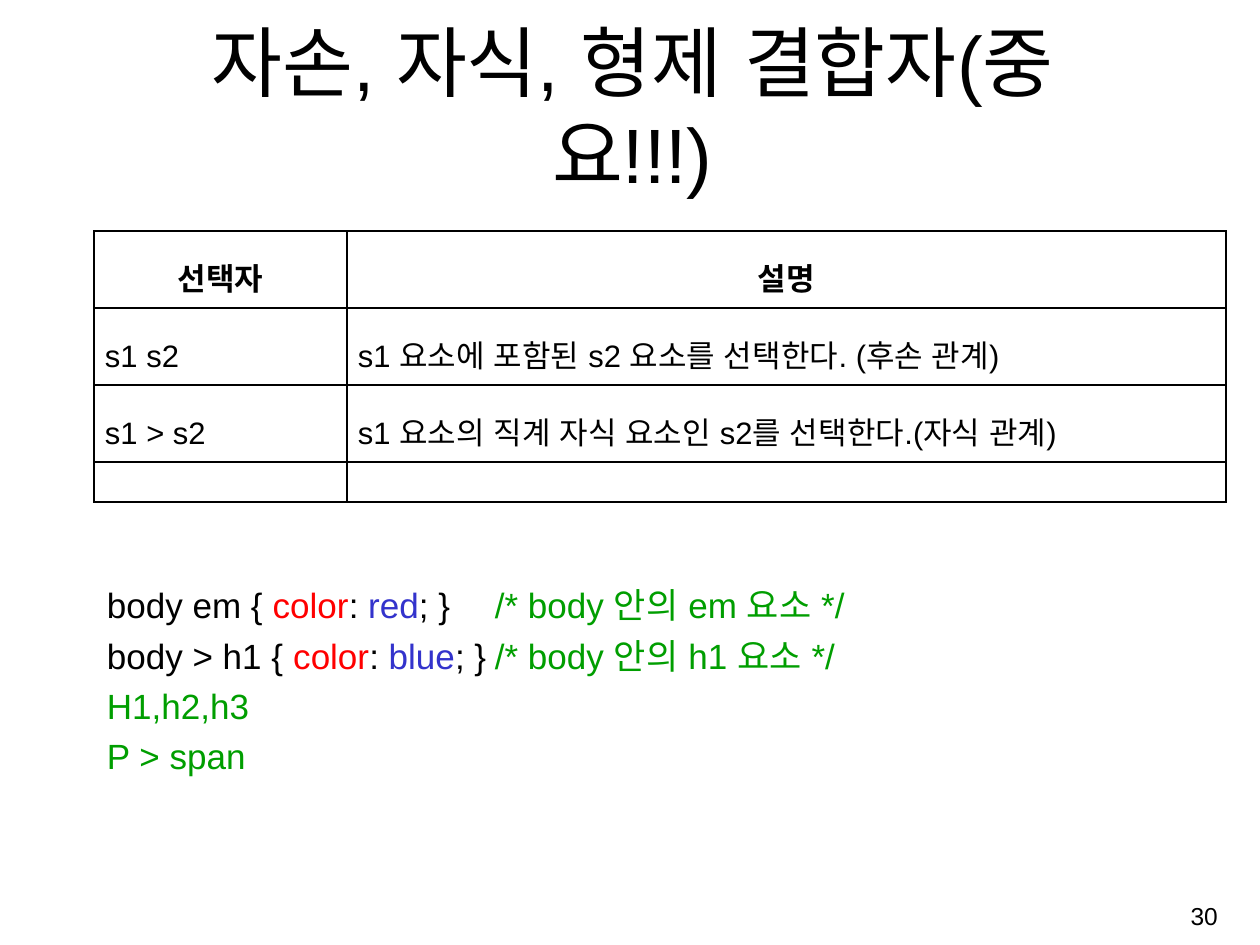
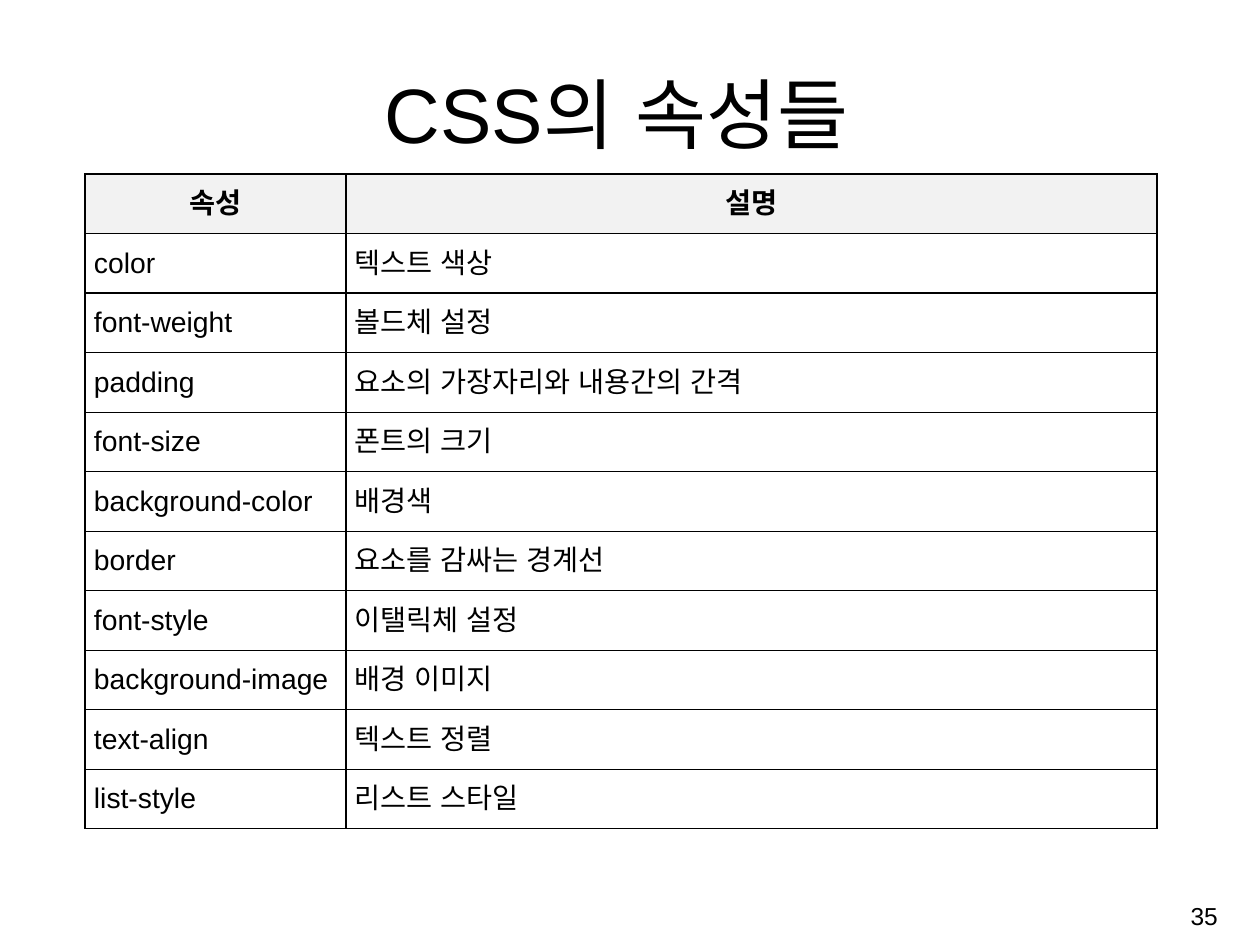
from dataclasses import dataclass

from lxml.etree import SubElement
from pptx import Presentation
from pptx.dml.color import RGBColor
from pptx.enum.text import MSO_ANCHOR, PP_ALIGN
from pptx.oxml.ns import qn
from pptx.util import Emu, Pt

PX = 9427


@dataclass(frozen=True)
class Theme:
    font: str = "Arial"
    ink: str = "000000"
    paper: str = "FFFFFF"
    header: str = "F2F2F2"
    name: str = "FF0000"
    value: str = "3333CC"
    comment: str = "009E00"
    title_size: float = 57.2
    code_size: float = 26
    number_size: float = 18.2


T = Theme()


def px(n):
    return Emu(round(n * PX))


def apply(obj, **values):
    for key, value in values.items():
        setattr(obj, key, value)


def margins(x, y):
    return {"margin_left": px(x), "margin_right": px(x),
            "margin_top": px(y), "margin_bottom": px(y)}


def add_run(p, text, size, color=T.ink, bold=False):
    r = p.add_run()
    r.text = text
    apply(r.font, name=T.font, size=Pt(size), bold=bold)
    r.font.color.rgb = RGBColor.from_string(color)
    SubElement(r.font._element, qn("a:ea"), typeface=T.font)


def add_text(s, box, lines, size, inset=(10, 5), anchor=MSO_ANCHOR.TOP,
             align=PP_ALIGN.LEFT, gap=0):
    tf = s.shapes.add_textbox(*map(px, box)).text_frame
    apply(tf, word_wrap=True, vertical_anchor=anchor, **margins(*inset))
    for i, runs in enumerate(lines):
        p = tf.add_paragraph() if i else tf.paragraphs[0]
        apply(p, alignment=align, space_before=Pt(gap if i else 0))
        for text, color in runs:
            add_run(p, text, size, color)


def add_title(s, text, left, top, inset=(10, 5)):
    add_text(s, (left, top, 1029, 105), [[(text, T.ink)]], T.title_size,
             inset, MSO_ANCHOR.BOTTOM, PP_ALIGN.CENTER)


def add_number(s, number):
    add_text(s, (968, 887, 260, 58), [[(str(number), T.ink)]], T.number_size,
             anchor=MSO_ANCHOR.MIDDLE, align=PP_ALIGN.RIGHT)


def add_borders(cell):
    tcPr = cell._tc.get_or_add_tcPr()
    for i, side in enumerate(("lnL", "lnR", "lnT", "lnB")):
        ln = tcPr.makeelement(qn(f"a:{side}"), {"w": str(Pt(1))})
        fill = SubElement(ln, qn("a:solidFill"))
        SubElement(fill, qn("a:srgbClr"), val=T.ink)
        tcPr.insert(i, ln)


def fill_cell(cell, text, size, head, color, inset, spacing):
    apply(cell, vertical_anchor=MSO_ANCHOR.MIDDLE, **margins(*inset))
    cell.fill.solid()
    cell.fill.fore_color.rgb = RGBColor.from_string(color)
    add_borders(cell)
    if text:
        p = cell.text_frame.paragraphs[0]
        apply(p, line_spacing=spacing,
              alignment=PP_ALIGN.CENTER if head else PP_ALIGN.JUSTIFY)
        add_run(p, text, size, bold=head)


def add_grid(s, left, top, widths, heights, rows, size, inset,
             head_fill=T.paper, spacing=1.0):
    box = map(px, (left, top, sum(widths), sum(heights)))
    table = s.shapes.add_table(len(rows), len(widths), *box).table
    apply(table, first_row=False, horz_banding=False)
    for column, width in zip(table.columns, widths):
        column.width = px(width)
    for row, height in zip(table.rows, heights):
        row.height = px(height)
    for i, texts in enumerate(rows):
        head = i == 0
        for j, text in enumerate(texts):
            fill_cell(table.cell(i, j), text, size, head,
                      head_fill if head else T.paper, inset, spacing)


def css_rule(selector, name, value, comment):
    return [(f"{selector} {{ ", T.ink), (name, T.name), (": ", T.ink),
            (value, T.value), ("; }\t", T.ink), (comment, T.comment)]


def combinators(s):
    add_title(s, "자손, 자식, 형제 결합자(중요!!!)", 118, 100, (13, 6))
    rows = [
        ("선택자", "설명"),
        ("s1 s2", "s1 요소에 포함된 s2 요소를 선택한다. (후손 관계)"),
        ("s1 > s2", "s1 요소의 직계 자식 요소인 s2를 선택한다.(자식 관계)"),
        ("", ""),
    ]
    add_grid(s, 94, 231, (253, 879), [77] * 3 + [40], rows, 23, (11, 3),
             spacing=1.6)
    code = [
        css_rule("body em", "color", "red", "/* body 안의 em 요소 */"),
        css_rule("body > h1", "color", "blue", "/* body 안의 h1 요소 */"),
        [("H1,h2,h3", T.comment)],
        [("P > span", T.comment)],
    ]
    add_text(s, (94, 578, 1132, 223), code, T.code_size, (13, 6), gap=6)
    add_number(s, 30)


def properties(s):
    add_title(s, "CSS의 속성들", 102, 59)
    rows = [
        ("속성", "설명"),
        ("color", "텍스트 색상"),
        ("font-weight", "볼드체 설정"),
        ("padding", "요소의 가장자리와 내용간의 간격"),
        ("font-size", "폰트의 크기"),
        ("background-color", "배경색"),
        ("border", "요소를 감싸는 경계선"),
        ("font-style", "이탤릭체 설정"),
        ("background-image", "배경 이미지"),
        ("text-align", "텍스트 정렬"),
        ("list-style", "리스트 스타일"),
    ]
    heights = [655 / len(rows)] * len(rows)
    add_grid(s, 85, 174, (261, 811), heights, rows, 21, (9, 3), T.header)
    add_number(s, 35)


def main():
    prs = Presentation()
    apply(prs, slide_width=px(1260), slide_height=px(945))
    for build in (combinators, properties):
        build(prs.slides.add_slide(prs.slide_layouts[6]))
    prs.save("out.pptx")


if __name__ == "__main__":
    main()
